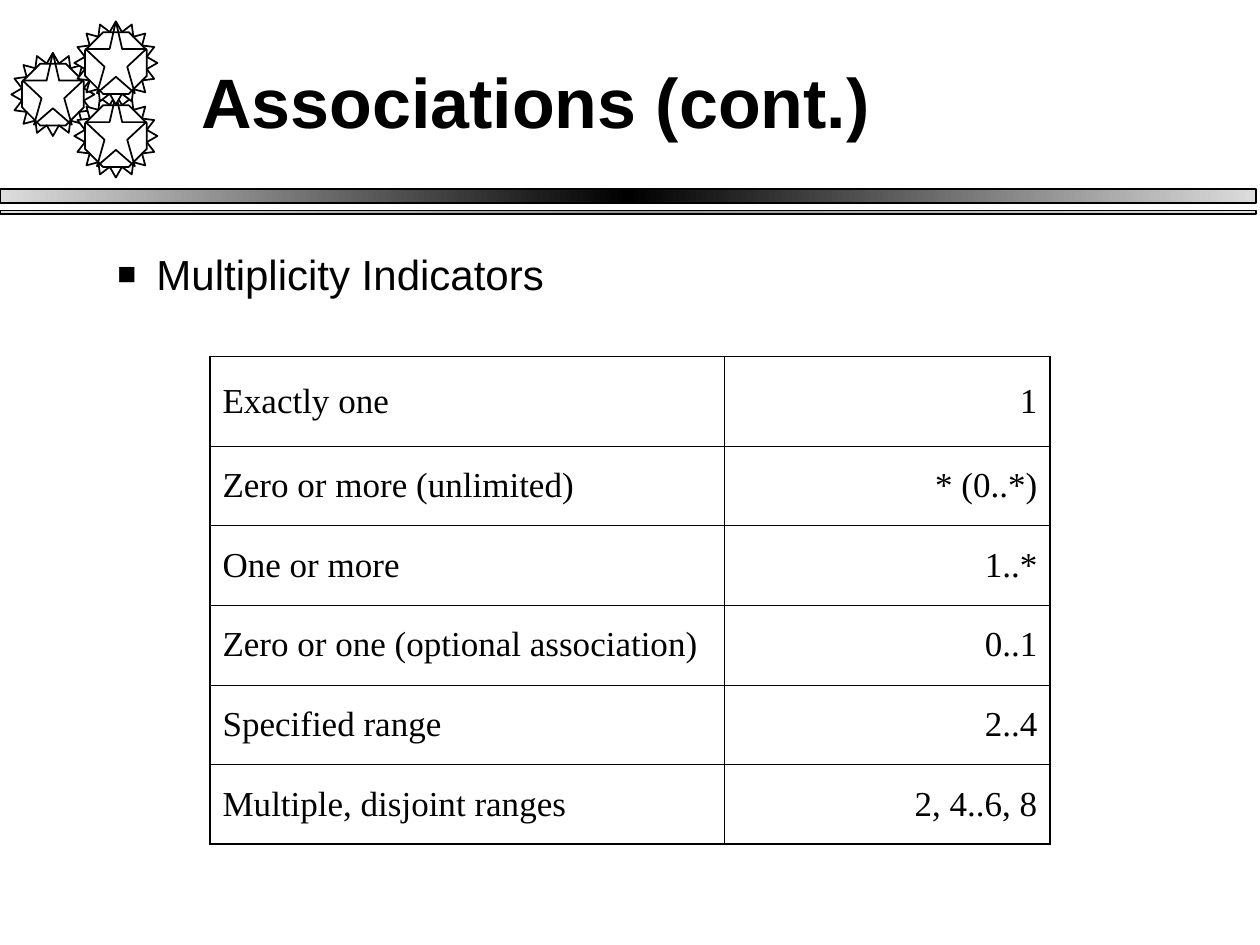
from dataclasses import dataclass
from math import cos, pi, sin

from lxml.etree import SubElement
from pptx import Presentation
from pptx.dml.color import RGBColor
from pptx.enum.shapes import MSO_SHAPE
from pptx.enum.text import MSO_ANCHOR, PP_ALIGN
from pptx.oxml.ns import qn
from pptx.util import Emu, Inches, Pt

COLORS = {"ink": "000000", "paper": "FFFFFF", "silver": "DDDDDD",
          "gray": "969696", "shadow": "C0C0C0"}
WIDTH, HEIGHT = Inches(10), Inches(7.5)
LINE_WIDTH = 0.99
THIN, THICK = 0.45, 1.08


@dataclass(frozen=True)
class Area:
    """A rectangle in shares of the slide's width and height."""
    left: float
    top: float
    width: float
    height: float

    def lengths(self) -> tuple[Emu, Emu, Emu, Emu]:
        """Return left, top, width and height as lengths."""
        return (Emu(round(self.left * WIDTH)), Emu(round(self.top * HEIGHT)),
                Emu(round(self.width * WIDTH)), Emu(round(self.height * HEIGHT)))


@dataclass(frozen=True)
class Band:
    """A ruled band under the title."""
    area: Area
    middle: str


@dataclass(frozen=True)
class Gear:
    """The centre of a gear, in inches."""
    x: float
    y: float


@dataclass(frozen=True)
class Indicator:
    """One row of the multiplicity table."""
    meaning: str
    notation: str


BANDS = [Band(Area(0, 1.5 / 7.5, 0.997, 0.11 / 7.5), "ink"),
         Band(Area(0, 1.67 / 7.5, 0.997, 0.03 / 7.5), "gray")]
GEARS = [Gear(0.42, 0.75), Gear(0.92, 1.08), Gear(0.92, 0.5)]
INDICATORS = [
    Indicator("Exactly one", "1"),
    Indicator("Zero or more (unlimited)", "* (0..*)"),
    Indicator("One or more", "1..*"),
    Indicator("Zero or one (optional association)", "0..1"),
    Indicator("Specified range", "2..4"),
    Indicator("Multiple, disjoint ranges", "2, 4..6, 8"),
]
TITLE_AREA = Area(0.15, 0.17 / 7.5, 0.85, 1 / 6)
BODY_AREA = Area(1 / 30, 1.92 / 7.5, 0.925, 4.33 / 7.5)
TABLE_AREA = Area(1 / 6, 2.83 / 7.5, 2 / 3, 3.87 / 7.5)
FIRST_COLUMN, FIRST_ROW = Inches(4.08), Inches(0.71)

TEETH, TIP, ROOT = 16, 0.33, 0.25
TOOTH_POINTS = [(radius * cos(step * pi / TEETH), radius * sin(step * pi / TEETH))
                for step in range(2 * TEETH)
                for radius in [ROOT if step % 2 else TIP]]
STAR_HALF = [(0, -0.33), (0.05, -0.11), (0.24, -0.11),
             (0.09, 0.03), (0.15, 0.24), (0, 0.11)]
STAR_POINTS = STAR_HALF + [(-x, y) for x, y in STAR_HALF[-2:0:-1]]
OCTAGON_SIZE = 0.49


def color(name: str) -> RGBColor:
    """Look up a named colour."""
    return RGBColor.from_string(COLORS[name])


def add_color(parent, name: str) -> None:
    """Append a colour element."""
    SubElement(parent, qn("a:srgbClr"), val=COLORS[name])


def outline(shape, filled: bool = True) -> None:
    """Give a shape a thin ink outline and a paper or empty fill."""
    shape.shadow.inherit = False
    shape.line.color.rgb = color("ink")
    shape.line.width = Pt(LINE_WIDTH)
    if filled:
        shape.fill.solid()
        shape.fill.fore_color.rgb = color("paper")
    else:
        shape.fill.background()


def write(frame, text: str, *, size: float, font: str, bold: bool = False,
          align=PP_ALIGN.LEFT, before: float = 0, anchor=MSO_ANCHOR.TOP):
    """Write one formatted paragraph and return it."""
    frame.word_wrap = True
    frame.vertical_anchor = anchor
    para = frame.paragraphs[0]
    para.alignment = align
    para.space_before = Pt(before)
    span = para.add_run()
    span.text = text
    span.font.size, span.font.name, span.font.bold = Pt(size), font, bold
    span.font.color.rgb = color("ink")
    return para


def add_bullet(para) -> None:
    """Set a hanging square bullet."""
    props = para._p.get_or_add_pPr()
    props.set("marL", str(Inches(0.81)))
    props.set("indent", str(Inches(-0.31)))
    add_color(SubElement(props, qn("a:buClr")), "ink")
    SubElement(props, qn("a:buSzPct"), val="75000")
    SubElement(props, qn("a:buFont"), typeface="Arial")
    SubElement(props, qn("a:buChar"), char="■")


def add_text_shadow(para) -> None:
    """Cast a soft grey shadow from the paragraph's text."""
    props = para.runs[0]._r.get_or_add_rPr()
    effects = SubElement(props, qn("a:effectLst"))
    props.find(qn("a:solidFill")).addnext(effects)
    add_color(SubElement(effects, qn("a:outerShdw"), dist="25400", dir="2700000"),
              "shadow")


def add_band(page, band: Band) -> None:
    """Draw a band that fades from its middle to both ends."""
    shape = page.shapes.add_shape(MSO_SHAPE.RECTANGLE, *band.area.lengths())
    outline(shape)
    shape.fill.gradient()
    shape.fill.gradient_angle = 0
    stops = shape._element.spPr.find(qn("a:gradFill")).find(qn("a:gsLst"))
    stops.clear()
    for share, name in [(0, "silver"), (50, band.middle), (100, "silver")]:
        add_color(SubElement(stops, qn("a:gs"), pos=str(share * 1000)), name)


def add_gear(group, gear: Gear) -> None:
    """Draw a toothed wheel with a star and an octagon on it."""
    for points in (TOOTH_POINTS, STAR_POINTS):
        spots = [(Inches(gear.x + x), Inches(gear.y + y)) for x, y in points]
        builder = group.shapes.build_freeform(*spots[0])
        builder.add_line_segments(spots[1:], close=True)
        outline(builder.convert_to_shape())
    half, side = OCTAGON_SIZE / 2, Inches(OCTAGON_SIZE)
    octagon = group.shapes.add_shape(MSO_SHAPE.OCTAGON, Inches(gear.x - half),
                                     Inches(gear.y - half), side, side)
    outline(octagon, filled=False)


def add_border(cell, side: str, width: float) -> None:
    """Rule one side of a cell."""
    line = SubElement(cell._tc.get_or_add_tcPr(), qn(f"a:ln{side}"), w=str(Pt(width)))
    add_color(SubElement(line, qn("a:solidFill")), "ink")


def add_indicator_table(page) -> None:
    """Build the table with thick outer and thin inner rules."""
    left, top, width, height = TABLE_AREA.lengths()
    last = len(INDICATORS) - 1
    table = page.shapes.add_table(last + 1, 2, left, top, width, height).table
    table.first_row = table.horz_banding = False
    table.columns[0].width, table.columns[1].width = FIRST_COLUMN, width - FIRST_COLUMN
    for index, item in enumerate(INDICATORS):
        table.rows[index].height = FIRST_ROW if index == 0 else (height - FIRST_ROW) // last
        for column, text in enumerate((item.meaning, item.notation)):
            cell = table.cell(index, column)
            outer = {"L": column == 0, "R": column == 1,
                     "T": index == 0, "B": index == last}
            for side, is_outer in outer.items():
                add_border(cell, side, THICK if is_outer else THIN)
            cell.fill.background()
            cell.vertical_anchor = MSO_ANCHOR.MIDDLE
            write(cell.text_frame, text, size=20, font="Times New Roman", before=5,
                  align=PP_ALIGN.RIGHT if column else PP_ALIGN.LEFT,
                  anchor=MSO_ANCHOR.MIDDLE)


def main() -> None:
    """Build and save the slide."""
    deck = Presentation()
    deck.slide_width, deck.slide_height = WIDTH, HEIGHT
    page = deck.slides.add_slide(deck.slide_layouts[6])
    for band in BANDS:
        add_band(page, band)
    gears = page.shapes.add_group_shape()
    for gear in GEARS:
        add_gear(gears, gear)
    title = page.shapes.add_textbox(*TITLE_AREA.lengths())
    add_text_shadow(write(title.text_frame, "Associations (cont.)", size=40,
                          font="Arial", bold=True, anchor=MSO_ANCHOR.MIDDLE))
    body = page.shapes.add_textbox(*BODY_AREA.lengths())
    add_bullet(write(body.text_frame, "Multiplicity Indicators", size=24,
                     font="Arial", before=6))
    add_indicator_table(page)
    deck.save("out.pptx")


main()
